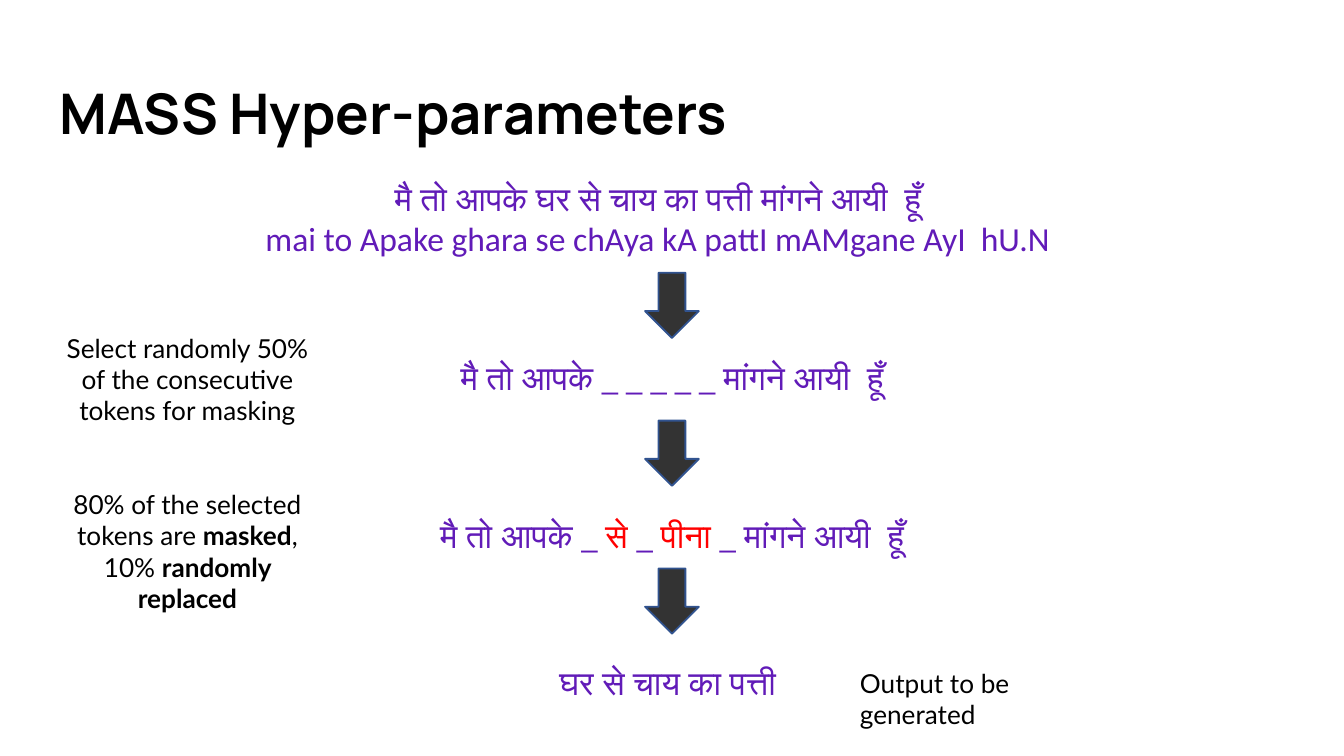
from pptx import Presentation
from pptx.dml.color import RGBColor
from pptx.enum.shapes import MSO_SHAPE
from pptx.enum.text import MSO_ANCHOR, PP_ALIGN
from pptx.util import Pt

EMU_PER_PX = 4572  # 200 px to the inch

BLACK = RGBColor(0x00, 0x00, 0x00)
PURPLE = RGBColor(0x61, 0x1B, 0xB8)
RED = RGBColor(0xFF, 0x00, 0x00)
CHARCOAL = RGBColor(0x33, 0x33, 0x33)
ARROW_EDGE = RGBColor(0x31, 0x53, 0x8F)


def emu(*lengths):
    return [length * EMU_PER_PX for length in lengths]


class SlideBuilder:
    title_font, sentence_font, note_font = "Manrope", "Calibri", "Lato"

    def __init__(self, slide):
        self.slide = slide

    def text(self, box, paragraphs, font, size, color, align, inset):
        """Add a text box; each paragraph is a list of (words, format overrides)."""
        frame = self.slide.shapes.add_textbox(*emu(*box)).text_frame
        frame.word_wrap = True
        frame.margin_left, frame.margin_right = emu(20, 20)
        frame.margin_top, frame.margin_bottom = emu(inset, inset)
        for index, segments in enumerate(paragraphs):
            paragraph = frame.paragraphs[0] if index == 0 else frame.add_paragraph()
            paragraph.alignment = align
            for words, overrides in segments:
                run = paragraph.add_run()
                run.text = words
                run.font.name = font
                run.font.size = Pt(size)
                run.font.bold = overrides.get("bold", False)
                run.font.color.rgb = overrides.get("color", color)
        return frame

    def title(self, box, words):
        frame = self.text(box, [[(words, {"bold": True})]], self.title_font, 30,
                          BLACK, PP_ALIGN.LEFT, 20)
        frame.vertical_anchor = MSO_ANCHOR.MIDDLE

    def sentence(self, box, *lines):
        self.text(box, lines, self.sentence_font, 18, PURPLE, PP_ALIGN.CENTER, 10)

    def note(self, box, segments, align=PP_ALIGN.CENTER):
        self.text(box, [segments], self.note_font, 14, BLACK, align, 20)

    def down_arrow(self, box):
        arrow = self.slide.shapes.add_shape(MSO_SHAPE.DOWN_ARROW, *emu(*box))
        arrow.shadow.inherit = False
        arrow.fill.solid()
        arrow.fill.fore_color.rgb = CHARCOAL
        arrow.line.color.rgb = ARROW_EDGE
        arrow.line.width = Pt(1)


def main():
    deck = Presentation()
    deck.slide_width, deck.slide_height = emu(2000, 1125)
    builder = SlideBuilder(deck.slides.add_slide(deck.slide_layouts[6]))
    replaced, strong = {"color": RED}, {"bold": True}

    builder.title((69, 99, 1864, 136), "MASS Hyper-parameters")

    builder.sentence(
        (256, 255, 1446, 80),
        [("मै तो आपके घर से चाय का पत्ती मांगने आयी  हूँ", {})],
        [("mai to Apake ghara se chAya kA pattI mAMgane AyI  hU.N", {})],
    )
    builder.sentence((522, 521, 956, 80),
                     [("मै तो आपके _ _ _ _ _ मांगने आयी  हूँ", {})])
    builder.sentence(
        (490, 757, 1020, 80),
        [("मै तो आपके _ ", {}), ("से", replaced), (" _ ", {}),
         ("पीना", replaced), (" _ मांगने आयी  हूँ", {})],
    )
    builder.sentence((724, 976, 552, 80), [("घर से चाय का पत्ती ", {})])

    for step in range(3):
        builder.down_arrow((960, 406 + 220 * step, 80, 97))

    builder.note((60, 474, 438, 154),
                 [("Select randomly 50% of the consecutive tokens for masking", {})])
    builder.note(
        (60, 707, 438, 154),
        [("80% of the selected tokens are ", {}), ("masked", strong),
         (", 10% ", {}), ("randomly replaced", strong)],
    )
    builder.note((1260, 973, 276, 86), [("Output to be generated", {})], PP_ALIGN.LEFT)

    deck.save("out.pptx")


if __name__ == "__main__":
    main()
